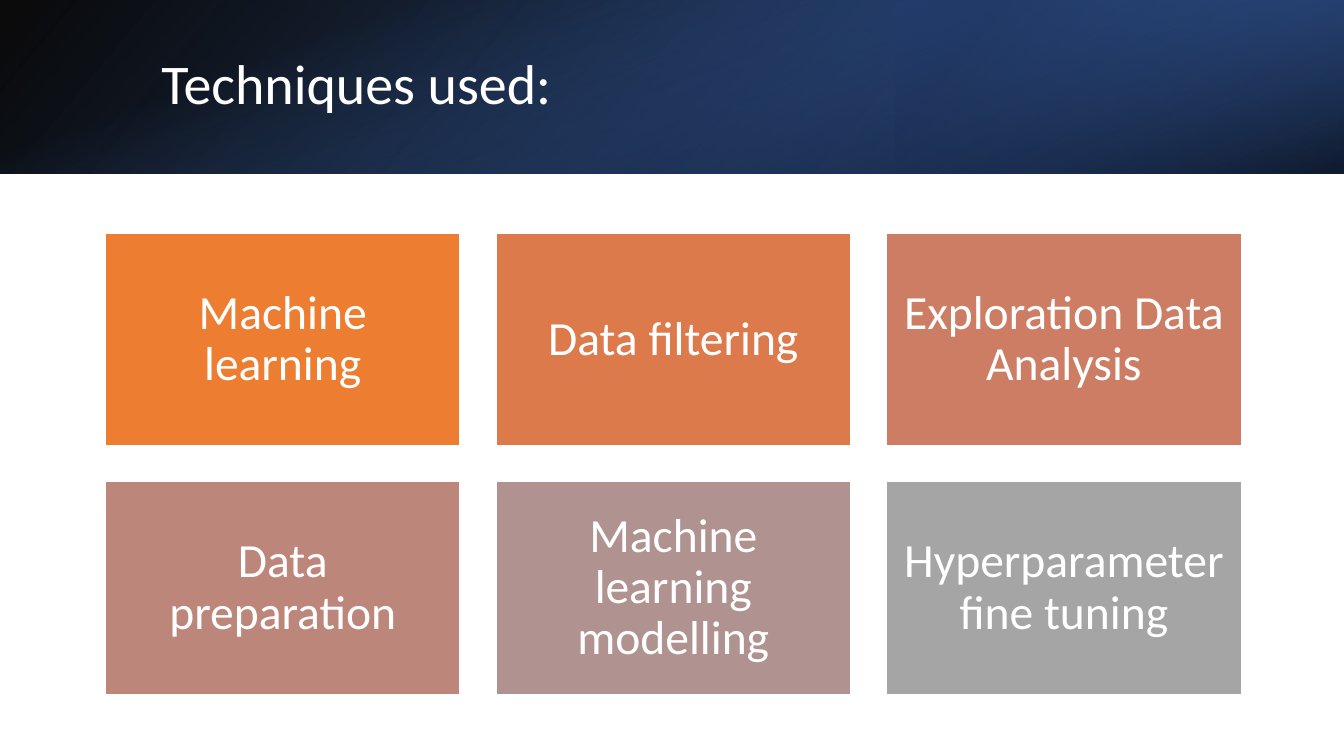
from dataclasses import dataclass

from lxml import etree
from pptx import Presentation
from pptx.dml.color import RGBColor
from pptx.enum import shapes, text
from pptx.oxml.ns import qn
from pptx.shapes.autoshape import Shape
from pptx.slide import Slide
from pptx.text.text import TextFrame
from pptx.util import Pt


@dataclass(frozen=True)
class Theme:
    font: str = "Calibri"
    title_size: float = 40
    tile_size: float = 34
    light: str = "FFFFFF"
    black: str = "000000"
    navy: str = "203864"
    deep_blue: str = "2F5597"
    blue: str = "4472C4"


@dataclass(frozen=True)
class Stop:
    """A gradient stop; position and opacity are percentages."""
    position: float
    color: str
    opacity: float


@dataclass(frozen=True)
class BannerLayer:
    left: float
    top: float
    width: float
    height: float
    stops: tuple[Stop, Stop]
    angle: float  # clockwise
    rotation: float = 0
    flipped: bool = False


@dataclass(frozen=True)
class Technique:
    label: str
    color: str


THEME = Theme()
SLIDE_W, SLIDE_H = 960, 540
BANNER_H = 124

BANNER = (
    BannerLayer(0, 0, SLIDE_W, BANNER_H,
                (Stop(0, THEME.black, 96), Stop(100, THEME.deep_blue, 100)),
                angle=140, flipped=True),
    BannerLayer(SLIDE_W * 2 / 3, 0, SLIDE_W / 3, BANNER_H,
                (Stop(19, THEME.navy, 68), Stop(100, THEME.blue, 79)),
                angle=320, rotation=180, flipped=True),
    # A quarter turn about its centre lays this upright layer over the banner.
    BannerLayer((SLIDE_W - BANNER_H) / 2, (BANNER_H - SLIDE_W) / 2, BANNER_H, SLIDE_W,
                (Stop(23, THEME.blue, 0), Stop(99, THEME.black, 74)),
                angle=340, rotation=90),
)

TECHNIQUES = (
    Technique("Machine learning", "ED7D31"),
    Technique("Data filtering", "DC7A4B"),
    Technique("Exploration Data Analysis", "CC7D64"),
    Technique("Data preparation", "BD867B"),
    Technique("Machine learning modelling", "B09391"),
    Technique("Hyperparameter fine tuning", "A5A5A5"),
)
COLUMNS = 3
GRID_LEFT, GRID_TOP = 75.2, 166.6
TILE_W, TILE_H, TILE_GAP = 253.5, 152, 25.5
TILE_INSET = 10


def add_rectangle(slide: Slide, left: float, top: float, width: float, height: float) -> Shape:
    rectangle = slide.shapes.add_shape(
        shapes.MSO_SHAPE.RECTANGLE, Pt(left), Pt(top), Pt(width), Pt(height))
    rectangle.shadow.inherit = False
    return rectangle


def write(frame: TextFrame, wording: str, size: float, align: text.PP_ALIGN) -> None:
    frame.word_wrap = True
    frame.auto_size = text.MSO_AUTO_SIZE.NONE
    frame.vertical_anchor = text.MSO_ANCHOR.MIDDLE
    paragraph = frame.paragraphs[0]
    paragraph.alignment = align
    paragraph.line_spacing = 0.9
    run = paragraph.add_run()
    run.text = wording
    run.font.name = THEME.font
    run.font.size = Pt(size)
    run.font.color.rgb = RGBColor.from_string(THEME.light)


def add_banner_layer(slide: Slide, layer: BannerLayer) -> None:
    band = add_rectangle(slide, layer.left, layer.top, layer.width, layer.height)
    band.line.fill.background()
    band.rotation = layer.rotation
    if layer.flipped:
        band.element.spPr.find(qn("a:xfrm")).set("flipH", "1")
    band.fill.gradient()
    band.fill.gradient_angle = 360 - layer.angle  # python-pptx counts counter-clockwise
    for gradient_stop, stop in zip(band.fill.gradient_stops, layer.stops):
        gradient_stop.position = stop.position / 100
        gradient_stop.color.rgb = RGBColor.from_string(stop.color)
    for color, stop in zip(band.element.spPr.iter(qn("a:srgbClr")), layer.stops):
        etree.SubElement(color, qn("a:alpha")).set("val", str(round(stop.opacity * 1000)))


def add_title(slide: Slide, wording: str) -> None:
    title = slide.shapes.title
    title.left, title.top, title.width, title.height = Pt(108), Pt(27.4), Pt(790.6), Pt(69)
    write(title.text_frame, wording, THEME.title_size, text.PP_ALIGN.LEFT)
    title.element.getparent().append(title.element)  # in front of the banner


def add_tile(slide: Slide, index: int, technique: Technique) -> None:
    row, column = divmod(index, COLUMNS)
    tile = add_rectangle(slide, GRID_LEFT + column * (TILE_W + TILE_GAP),
                         GRID_TOP + row * (TILE_H + TILE_GAP), TILE_W, TILE_H)
    tile.fill.solid()
    tile.fill.fore_color.rgb = RGBColor.from_string(technique.color)
    tile.line.color.rgb = RGBColor.from_string(THEME.light)
    tile.line.width = Pt(1)
    frame = tile.text_frame
    frame.margin_left = frame.margin_right = Pt(TILE_INSET)
    frame.margin_top = frame.margin_bottom = Pt(TILE_INSET)
    write(frame, technique.label, THEME.tile_size, text.PP_ALIGN.CENTER)


def main() -> None:
    deck = Presentation()
    deck.slide_width, deck.slide_height = Pt(SLIDE_W), Pt(SLIDE_H)
    slide = deck.slides.add_slide(deck.slide_layouts.get_by_name("Title Only"))
    for layer in BANNER:
        add_banner_layer(slide, layer)
    add_title(slide, "Techniques used:")
    for index, technique in enumerate(TECHNIQUES):
        add_tile(slide, index, technique)
    deck.save("out.pptx")


if __name__ == "__main__":
    main()
